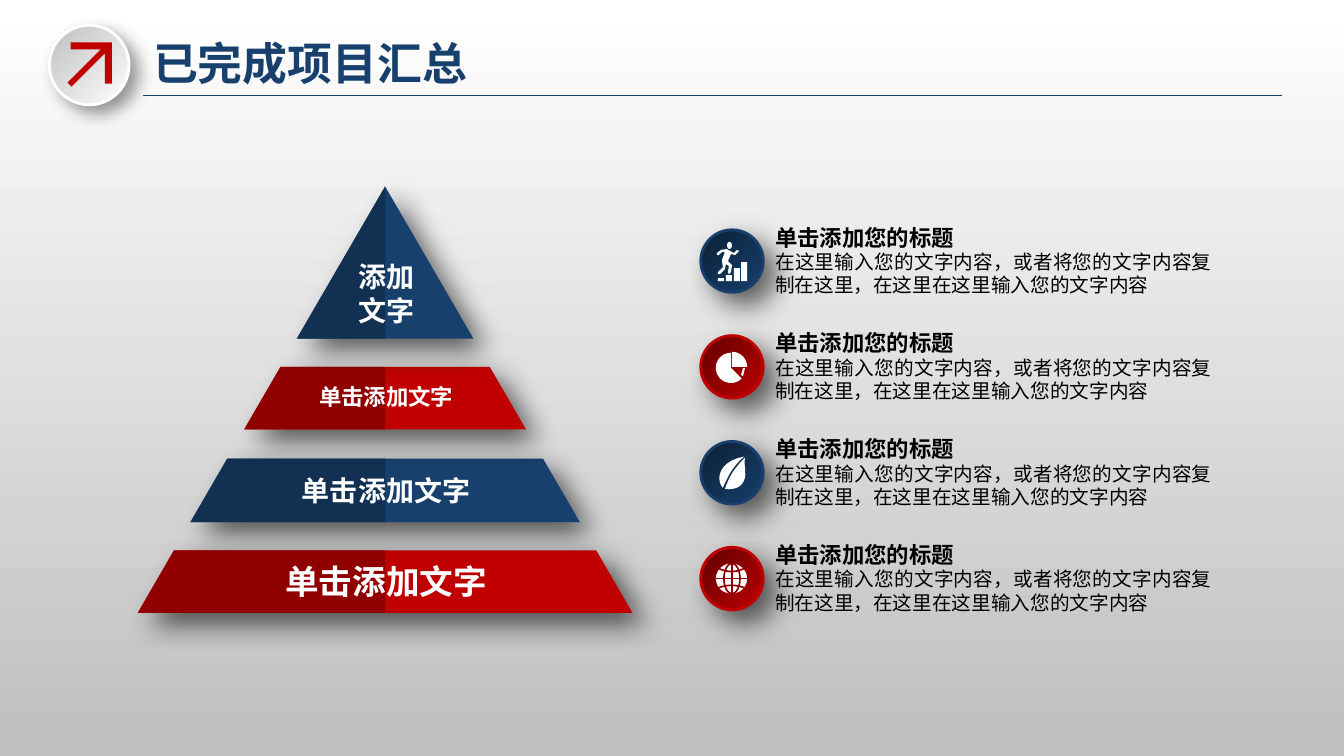
from math import cos, radians, sin

from lxml import etree
from pptx import Presentation
from pptx import util as u
from pptx.dml.color import RGBColor
from pptx.enum import shapes, text
from pptx.oxml import ns

FONT = "Noto Sans CJK SC"
BLUE, NAVY, DEEP = "17406D", "113052", "0C2036"
RED, WINE, DARK = "C00000", "900000", "600000"
WHITE, GREY = "FFFFFF", "BFBFBF"
SHADE = (60, 20, 12)


def rgb(hue):
    return RGBColor.from_string(hue)


def arc(x, y, r, start, end, n=24):
    turns = [radians(start + (end - start) * i / n) for i in range(n + 1)]
    return [(x + r * cos(t), y + r * sin(t)) for t in turns]


def bend(a, b, c, d, n=10):
    out = []
    for i in range(n + 1):
        t = i / n
        s = 1 - t
        out.append(tuple(s**3 * p + 3 * s * s * t * q + 3 * s * t * t * v + t**3 * w
                         for p, q, v, w in zip(a, b, c, d)))
    return out


class Deck:
    """Holds the style and the current slide, and draws each kind of element."""

    def __init__(self):
        self.prs = Presentation()
        self.prs.slide_width = u.Inches(13.33)
        self.prs.slide_height = u.Inches(7.5)
        self.slide = self.prs.slides.add_slide(self.prs.slide_layouts[6])
        self.all = self.slide.shapes
        self.blend(self.slide.background.fill, GREY, WHITE, 90)

    def blend(self, fill, first, last, angle):
        fill.gradient()
        fill.gradient_angle = angle
        for stop, hue in zip(fill.gradient_stops, (first, last)):
            stop.color.rgb = rgb(hue)

    def dress(self, shape, fill=None, line=None, width=1, shade=None):
        if isinstance(fill, tuple):
            self.blend(shape.fill, *fill, 135)
        elif fill:
            shape.fill.solid()
            shape.fill.fore_color.rgb = rgb(fill)
        else:
            shape.fill.background()
        if line:
            shape.line.color.rgb = rgb(line)
            shape.line.width = u.Pt(width)
        else:
            shape.line.fill.background()
        shape.shadow.inherit = False
        if shade:
            alpha, blur, dist = shade
            effects = shape._element.spPr.find(ns.qn("a:effectLst"))
            outer = etree.SubElement(
                effects, ns.qn("a:outerShdw"), blurRad=str(u.Pt(blur)),
                dist=str(u.Pt(dist)), dir="2700000", algn="tl", rotWithShape="0")
            tone = etree.SubElement(outer, ns.qn("a:srgbClr"), val="000000")
            etree.SubElement(tone, ns.qn("a:alpha"), val=str(alpha * 1000))

    def preset(self, kind, x, y, w, h, **look):
        box = map(u.Inches, (x, y, w, h))
        self.dress(self.all.add_shape(kind, *box), **look)

    def oval(self, x, y, w, h, **look):
        self.preset(shapes.MSO_SHAPE.OVAL, x, y, w, h, **look)

    def bar(self, x, y, w, h, **look):
        self.preset(shapes.MSO_SHAPE.RECTANGLE, x, y, w, h, **look)

    def free(self, points, close=True, **look):
        dots = [(x * 1000, y * 1000) for x, y in points]
        pen = self.all.build_freeform(*dots[0], scale=914.4)
        pen.add_line_segments(dots[1:], close=close)
        self.dress(pen.convert_to_shape(), **look)

    def line(self, x1, y1, x2, y2, hue, width):
        ends = map(u.Inches, (x1, y1, x2, y2))
        rule = self.all.add_connector(shapes.MSO_CONNECTOR.STRAIGHT, *ends)
        rule.line.color.rgb = rgb(hue)
        rule.line.width = u.Pt(width)
        etree.SubElement(rule._element.spPr, ns.qn("a:effectLst"))

    def words(self, x, y, w, h, lines, size, hue, bold=True, align="LEFT"):
        frame = self.all.add_textbox(*map(u.Inches, (x, y, w, h))).text_frame
        frame.word_wrap = True
        frame.text = lines
        for para in frame.paragraphs:
            para.alignment = getattr(text.PP_ALIGN, align)
            para.line_spacing = u.Pt(size * 1.2)
            font = para.font
            font.size = u.Pt(size)
            font.bold = bold
            font.color.rgb = rgb(hue)
            font.name = FONT
            etree.SubElement(font._rPr, ns.qn("a:ea"), typeface=FONT)

    def header(self):
        self.oval(0.49, 0.25, 0.79, 0.79, fill=(WHITE, GREY), line=WHITE,
                  width=2, shade=(40, 12, 8))
        self.free([(1.04, 0.83), (1.04, 0.53), (0.71, 0.86), (0.67, 0.82),
                   (1, 0.49), (0.7, 0.49), (0.7, 0.42), (1.11, 0.42),
                   (1.11, 0.83)], fill=RED)
        self.words(1.42, 0.31, 5.98, 0.64, "已完成项目汇总", 32, BLUE)
        self.line(1.42, 0.95, 12.72, 0.95, BLUE, 1)

    def tier(self, top, base, light, dark):
        mid, peak, slope = 3.82, 1.85, 0.58
        a, b = (slope * (y - peak) for y in (top, base))
        self.free([(mid - a, top), (mid + a, top), (mid + b, base),
                   (mid - b, base)], fill=light, shade=SHADE)
        self.free([(mid - a, top), (mid, top), (mid, base), (mid - b, base)],
                  fill=dark)

    def runner(self):
        self.oval(7.21, 2.4, 0.05, 0.07, fill=WHITE)
        self.free([(7.21, 2.47), (7.24, 2.49), (7.28, 2.51), (7.31, 2.48),
                   (7.33, 2.49), (7.29, 2.53), (7.25, 2.52), (7.22, 2.59),
                   (7.26, 2.63), (7.25, 2.7), (7.23, 2.72), (7.22, 2.7),
                   (7.23, 2.64), (7.2, 2.62), (7.19, 2.67), (7.14, 2.72),
                   (7.12, 2.72), (7.12, 2.7), (7.17, 2.65), (7.16, 2.58),
                   (7.19, 2.5), (7.16, 2.5), (7.13, 2.53), (7.11, 2.53),
                   (7.11, 2.51), (7.15, 2.48)], fill=WHITE)
        for x, y in ((7.12, 2.76), (7.2, 2.73), (7.28, 2.66), (7.35, 2.6)):
            self.bar(x, y, 0.06, 2.79 - y, fill=WHITE)

    def pie(self):
        self.free([(7.25, 3.65)] + arc(7.25, 3.65, 0.15, 45, 270), fill=WHITE)
        self.free([(7.26, 3.64)] + arc(7.26, 3.64, 0.15, 270, 360), fill=WHITE)
        self.free([(7.35, 3.72), (7.37, 3.73), (7.39, 3.65), (7.37, 3.65)],
                  fill=WHITE)

    def leaf(self):
        tip, low, left = (7.39, 4.54), (7.19, 4.85), (7.17, 4.84)
        self.free(bend(low, (7.3, 4.87), (7.41, 4.81), (7.39, 4.67))
                  + bend((7.39, 4.67), (7.39, 4.63), (7.38, 4.58), tip)
                  + bend(tip, (7.29, 4.64), (7.24, 4.71), low), fill=WHITE)
        top = (7.38, 4.53)
        self.free(bend(left, (7.09, 4.75), (7.14, 4.57), top)
                  + bend(top, (7.27, 4.63), (7.23, 4.7), left), fill=WHITE)

    def globe(self):
        self.oval(7.1, 5.59, 0.31, 0.3, fill=WHITE)
        self.oval(7.18, 5.59, 0.16, 0.3, line=WINE, width=1.2)
        self.line(7.26, 5.59, 7.26, 5.89, WINE, 1.2)
        self.line(7.1, 5.74, 7.41, 5.74, WINE, 1.2)
        for end, dip in ((5.64, 5.68), (5.83, 5.8)):
            self.free(bend((7.13, end), (7.21, dip), (7.3, dip), (7.38, end)),
                      close=False, line=WINE, width=1.2)


def main():
    deck = Deck()
    deck.header()
    icons = (deck.runner, deck.pie, deck.leaf, deck.globe)
    for i, icon in enumerate(icons):
        top = 2.28 + 1.05 * i
        rim, core = ((BLUE, DEEP), (RED, DARK))[i % 2]
        deck.oval(6.95, top, 0.62, 0.62, fill=(rim, core), line=rim, width=2,
                  shade=SHADE)
        icon()
        deck.words(7.59, top - 0.11, 2.7, 0.37, "单击添加您的标题", 16, "000000")
        deck.words(7.59, top + 0.15, 4.53, 0.57,
                   "在这里输入您的文字内容，或者将您的文字内容复制在这里，"
                   "在这里在这里输入您的文字内容", 14, "000000", False, "JUSTIFY")
    label = "单击添加文字"
    tiers = ((5.46, 6.08, 5.52, 0.5, 24, label),
             (4.55, 5.18, 4.65, 0.44, 20, label),
             (3.64, 4.26, 3.75, 0.37, 16, label),
             (1.85, 3.36, 2.53, 0.77, 20, "添加\n文字"))
    for i, (top, base, *_) in enumerate(tiers):
        deck.tier(top, base, *((RED, WINE), (BLUE, NAVY))[i % 2])
    for _, _, y, h, size, lines in tiers:
        deck.words(2.11, y, 3.44, h, lines, size, WHITE, align="CENTER")
    deck.prs.save("out.pptx")


if __name__ == "__main__":
    main()
